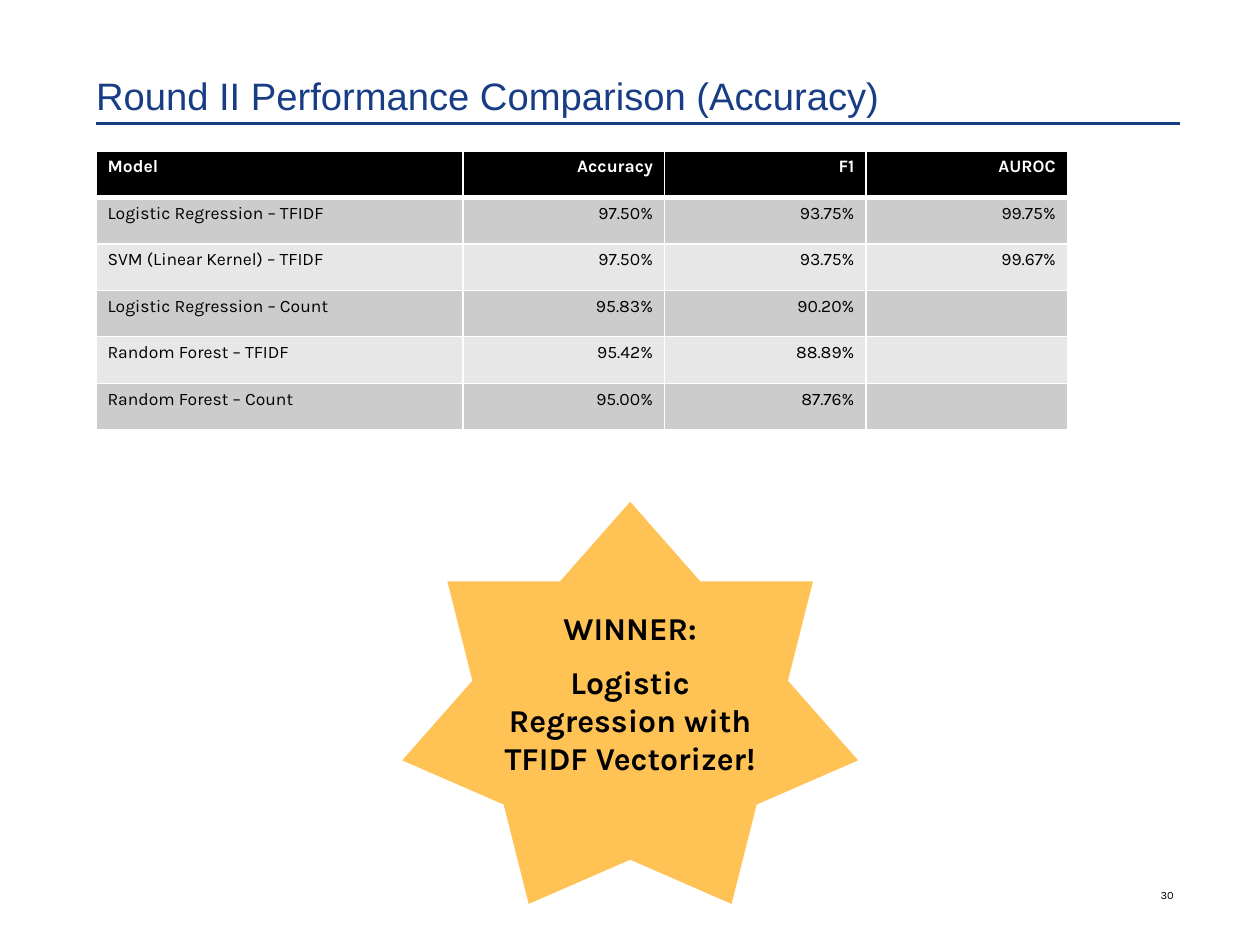
from collections import namedtuple
from dataclasses import dataclass

from lxml.etree import SubElement
from pptx import Presentation
from pptx.dml.color import RGBColor
from pptx.enum.shapes import MSO_CONNECTOR, MSO_SHAPE
from pptx.enum.text import MSO_ANCHOR, PP_ALIGN
from pptx.oxml.ns import qn
from pptx.util import Cm, Pt

Box = namedtuple("Box", "left top width height")


@dataclass(frozen=True)
class Theme:
    heading_font: str = "Arial"
    body_font: str = "Karla"
    navy: str = "193D85"
    black: str = "000000"
    white: str = "FFFFFF"
    bands: tuple = ("CCCCCC", "E7E7E7")
    gold: str = "FFC255"
    title_size: int = 24
    table_size: int = 11
    winner_size: int = 20
    number_size: int = 7


THEME = Theme()
HEADER = ("Model", "Accuracy", "F1", "AUROC")
RESULTS = (
    ("Logistic Regression – TFIDF", "97.50%", "93.75%", "99.75%"),
    ("SVM (Linear Kernel) – TFIDF", "97.50%", "93.75%", "99.67%"),
    ("Logistic Regression – Count", "95.83%", "90.20%", ""),
    ("Random Forest – TFIDF", "95.42%", "88.89%", ""),
    ("Random Forest – Count", "95.00%", "87.76%", ""),
)


def lengths(box):
    return [Cm(value) for value in box]


def paint(target, color):
    target.fill.solid()
    target.fill.fore_color.rgb = RGBColor.from_string(color)


def write(para, text, size, color=THEME.black, font=THEME.body_font,
          bold=False, align=PP_ALIGN.LEFT):
    para.alignment = align
    span = para.add_run()
    span.text = text
    span.font.name = font
    span.font.size = Pt(size)
    span.font.bold = bold
    span.font.color.rgb = RGBColor.from_string(color)


def set_frame(shape, anchor, wrap=True):
    frame = shape.text_frame
    frame.word_wrap = wrap
    frame.vertical_anchor = anchor
    frame.margin_left = frame.margin_right = 0
    frame.margin_top = frame.margin_bottom = 0
    return frame


def add_filled_shape(page, kind, box, color):
    shape = page.shapes.add_shape(kind, *lengths(box))
    shape.shadow.inherit = False
    paint(shape, color)
    shape.line.fill.background()
    return shape


def add_title(page, box, text):
    rule_top = Cm(box.top + box.height + 0.12)
    rule = page.shapes.add_connector(
        MSO_CONNECTOR.STRAIGHT, Cm(box.left), rule_top,
        Cm(box.left + box.width), rule_top)
    rule.line.color.rgb = RGBColor.from_string(THEME.navy)
    rule.line.width = Pt(1.5)
    SubElement(rule._element.spPr, qn("a:effectLst"))
    title = add_filled_shape(page, MSO_SHAPE.RECTANGLE, box, THEME.white)
    frame = set_frame(title, MSO_ANCHOR.BOTTOM)
    write(frame.paragraphs[0], text, THEME.title_size, THEME.navy,
          THEME.heading_font)


def add_borders(cell, widths):
    properties = cell._tc.get_or_add_tcPr()
    for position, (side, width) in enumerate(widths.items()):
        border = properties.makeelement(qn(f"a:ln{side}"), {"w": str(Pt(width))})
        fill = SubElement(border, qn("a:solidFill"))
        SubElement(fill, qn("a:srgbClr"), val=THEME.white)
        properties.insert(position, border)


def add_results(page, box, first_width):
    rows = (HEADER, *RESULTS)
    frame = page.shapes.add_table(len(rows), len(HEADER), *lengths(box))
    table = frame.table
    other_width = (box.width - first_width) / (len(HEADER) - 1)
    for index, column in enumerate(table.columns):
        column.width = Cm(other_width if index else first_width)
    for row in table.rows:
        row.height = Cm(box.height / len(rows))
    for row_index, row in enumerate(rows):
        header = row_index == 0
        for column_index, text in enumerate(row):
            cell = table.cell(row_index, column_index)
            paint(cell, THEME.black if header else THEME.bands[(row_index - 1) % 2])
            add_borders(cell, {"L": 1, "R": 1, "T": 3 if row_index == 1 else 1,
                               "B": 3 if header else 1})
            para = cell.text_frame.paragraphs[0]
            para.font.size = Pt(THEME.table_size)
            if text:
                write(para, text, THEME.table_size,
                      THEME.white if header else THEME.black, bold=header,
                      align=PP_ALIGN.RIGHT if column_index else PP_ALIGN.LEFT)


def add_winner(page, box, lines):
    star = add_filled_shape(page, MSO_SHAPE.STAR_7_POINT, box, THEME.gold)
    frame = set_frame(star, MSO_ANCHOR.MIDDLE)
    for index, line in enumerate(lines):
        para = frame.add_paragraph() if index else frame.paragraphs[0]
        para.space_before = Pt(THEME.winner_size / 2 if index else 0)
        write(para, line, THEME.winner_size, bold=True, align=PP_ALIGN.CENTER)


def add_page_number(page, box, number):
    label = page.shapes.add_textbox(*lengths(box))
    frame = set_frame(label, MSO_ANCHOR.BOTTOM, wrap=False)
    write(frame.paragraphs[0], number, THEME.number_size, align=PP_ALIGN.RIGHT)


def main():
    deck = Presentation()
    deck.slide_width, deck.slide_height = Cm(27.94), Cm(20.96)
    page = deck.slides.add_slide(deck.slide_layouts[6])
    add_title(page, Box(2.13, 0, 24.03, 2.62),
              "Round II Performance Comparison (Accuracy)")
    add_page_number(page, Box(24.89, 18.97, 1.14, 1.04), "30")
    add_results(page, Box(2.13, 3.35, 21.54, 6.18), first_width=8.14)
    add_winner(page, Box(8.92, 11.13, 10.11, 8.92),
               ("WINNER:", "Logistic Regression with TFIDF Vectorizer!"))
    deck.save("out.pptx")


if __name__ == "__main__":
    main()
